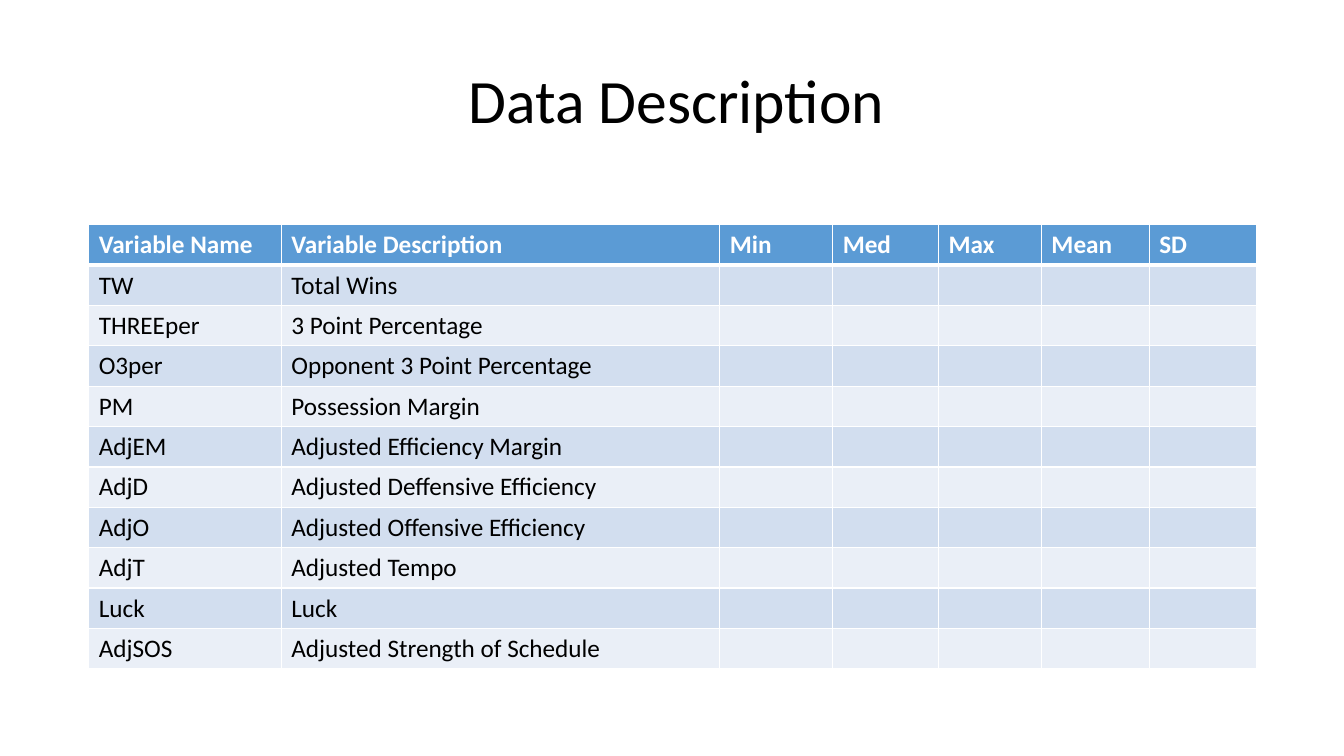
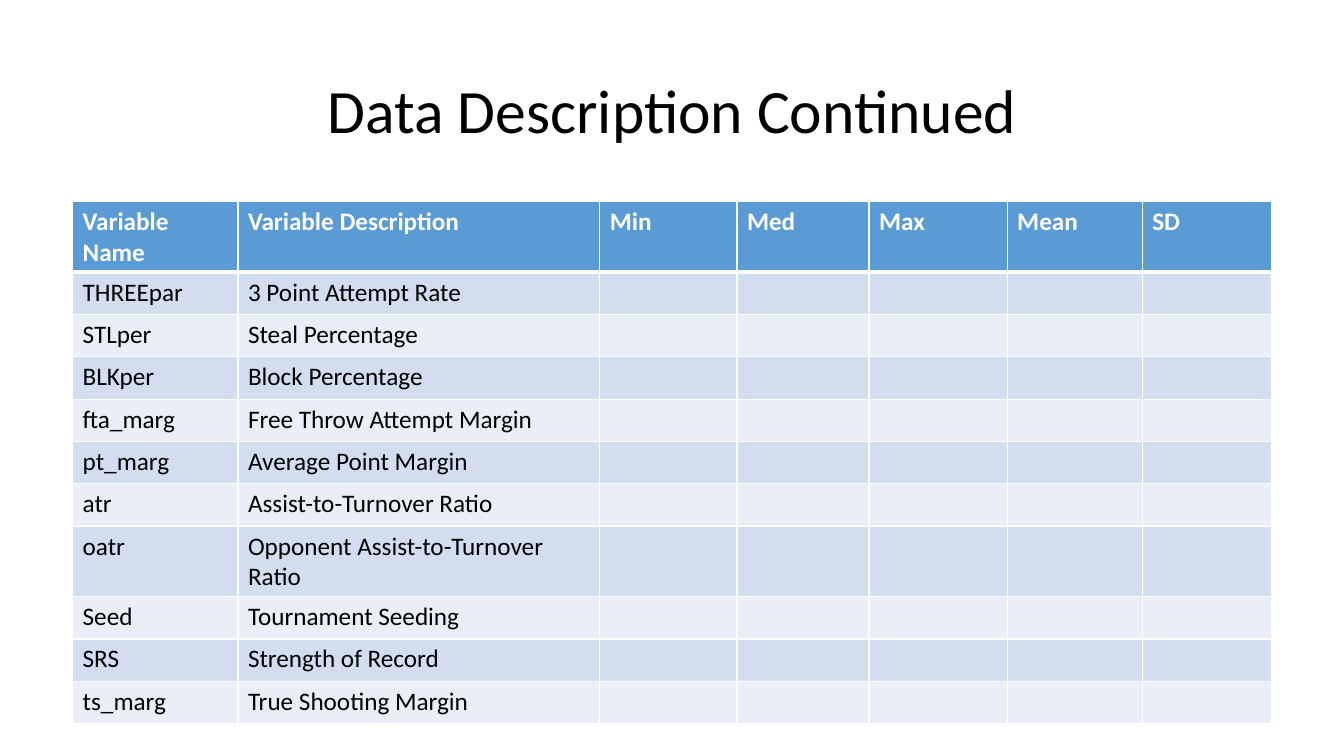
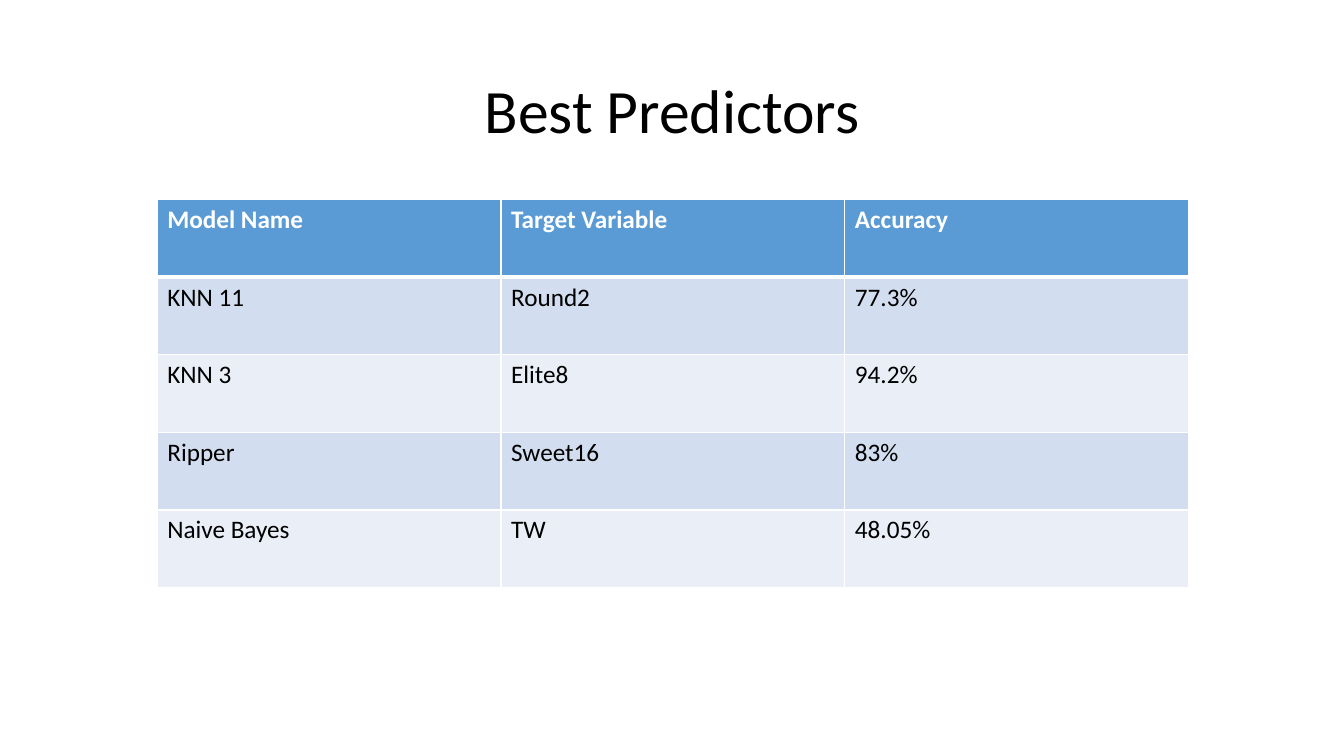
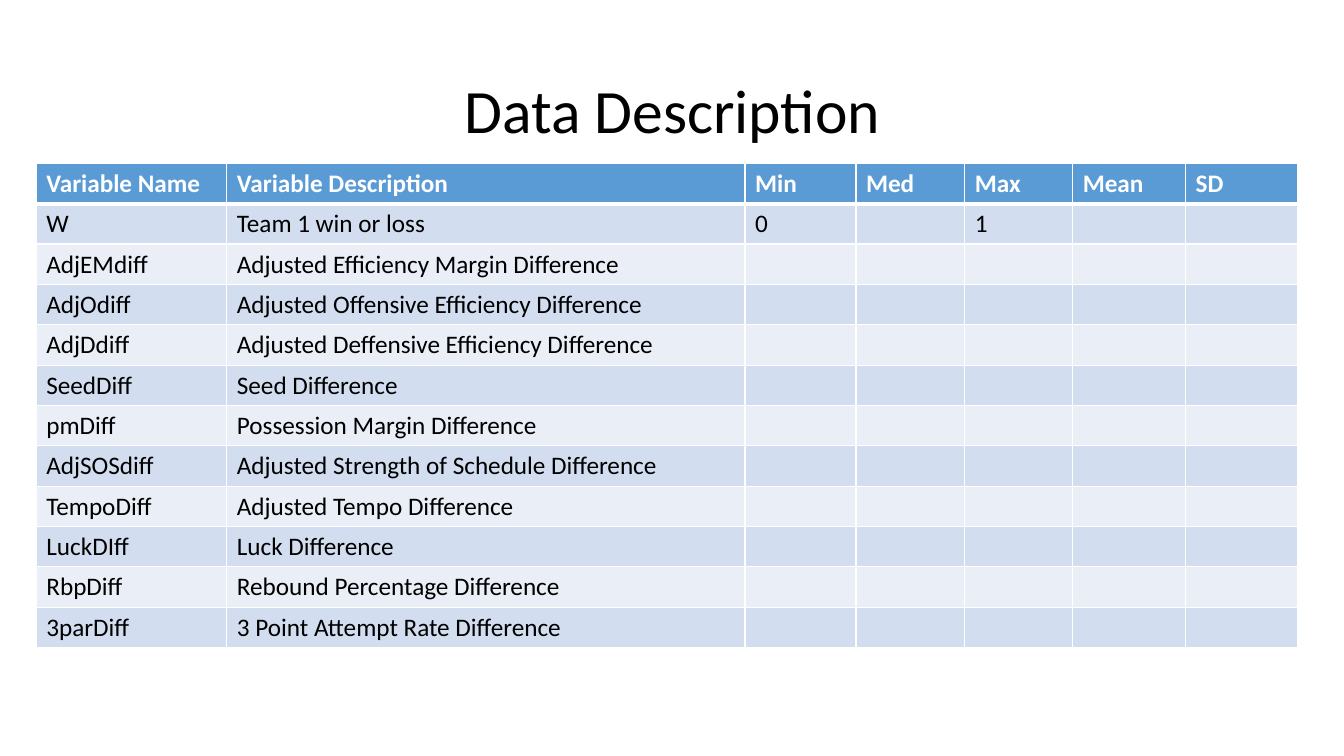
from dataclasses import dataclass

import pptx
import pptx.util
import pptx.dml.color
import pptx.enum.text
import pptx.oxml

Inches = pptx.util.Inches
Pt = pptx.util.Pt
RGB = pptx.dml.color.RGBColor.from_string


@dataclass(frozen=True)
class Theme:
    font: str = "Calibri"
    head: str = "5B9BD5"
    bands: tuple = ("D2DEEF", "EAEFF7")
    ink: str = "000000"
    pale: str = "FFFFFF"
    title: int = 44
    body: int = 18
    thin: int = 1
    thick: int = 3


THEME = Theme()
WIDE, HIGH = 13.33, 7.5
TITLE = (11.5, 1.45)
STATS = ("Variable Name", "Variable Description", "Min", "Med", "Max", "Mean", "SD")

SLIDES = [
    {
        "title": "Data Description",
        "spot": (0.96, 0.3),
        "at": (0.88, 2.23),
        "cols": (1.91, 4.35, 1.12, 1.05, 1.02, 1.07, 1.06),
        "row": 0.4,
        "head": STATS,
        "rows": [
            ("TW", "Total Wins"),
            ("THREEper", "3 Point Percentage"),
            ("O3per", "Opponent 3 Point Percentage"),
            ("PM", "Possession Margin"),
            ("AdjEM", "Adjusted Efficiency Margin"),
            ("AdjD", "Adjusted Deffensive Efficiency"),
            ("AdjO", "Adjusted Offensive Efficiency"),
            ("AdjT", "Adjusted Tempo"),
            ("Luck", "Luck"),
            ("AdjSOS", "Adjusted Strength of Schedule"),
        ],
    },
    {
        "title": "Data Description Continued",
        "spot": (0.92, 0.4),
        "at": (0.72, 2),
        "cols": (1.64, 3.59, 1.36, 1.31, 1.37, 1.34, 1.28),
        "row": 0.42,
        "head": STATS,
        "rows": [
            ("THREEpar", "3 Point Attempt Rate"),
            ("STLper", "Steal Percentage"),
            ("BLKper", "Block Percentage"),
            ("fta_marg", "Free Throw Attempt Margin"),
            ("pt_marg", "Average Point Margin"),
            ("atr", "Assist-to-Turnover Ratio"),
            ("oatr", "Opponent Assist-to-Turnover Ratio"),
            ("Seed", "Tournament Seeding"),
            ("SRS", "Strength of Record"),
            ("ts_marg", "True Shooting Margin"),
        ],
    },
    {
        "title": "Best Predictors",
        "spot": (0.92, 0.4),
        "at": (1.56, 1.98),
        "cols": (3.41,) * 3,
        "row": 0.77,
        "head": ("Model Name", "Target Variable", "Accuracy"),
        "rows": [
            ("KNN 11", "Round2", "77.3%"),
            ("KNN 3", "Elite8", "94.2%"),
            ("Ripper", "Sweet16", "83%"),
            ("Naive Bayes", "TW", "48.05%"),
        ],
    },
    {
        "title": "Data Description",
        "spot": (0.92, 0.4),
        "at": (0.36, 1.62),
        "cols": (1.89, 5.14, 1.1, 1.08, 1.07, 1.12, 1.11),
        "row": 0.4,
        "head": STATS,
        "rows": [
            ("W", "Team 1 win or loss", "0", "", "1"),
            ("AdjEMdiff", "Adjusted Efficiency Margin Difference"),
            ("AdjOdiff", "Adjusted Offensive Efficiency Difference"),
            ("AdjDdiff", "Adjusted Deffensive Efficiency Difference"),
            ("SeedDiff", "Seed Difference"),
            ("pmDiff", "Possession Margin Difference"),
            ("AdjSOSdiff", "Adjusted Strength of Schedule Difference"),
            ("TempoDiff", "Adjusted Tempo Difference"),
            ("LuckDIff", "Luck Difference"),
            ("RbpDiff", "Rebound Percentage Difference"),
            ("3parDiff", "3 Point Attempt Rate Difference"),
        ],
    },
]


def style(para, size, color, bold=False):
    for run in para.runs:
        run.font.name = THEME.font
        run.font.size = Pt(size)
        run.font.bold = bold
        run.font.color.rgb = RGB(color)


def add_title(slide, text, spot):
    box = slide.shapes.add_textbox(*map(Inches, spot + TITLE))
    frame = box.text_frame
    frame.word_wrap = True
    frame.vertical_anchor = pptx.enum.text.MSO_ANCHOR.MIDDLE
    frame.text = text
    para = frame.paragraphs[0]
    para.alignment = pptx.enum.text.PP_ALIGN.CENTER
    para.line_spacing = 0.9
    style(para, THEME.title, THEME.ink)


def add_edges(cell, row):
    props = cell._tc.get_or_add_tcPr()
    top = THEME.thick if row == 1 else THEME.thin
    base = THEME.thick if row == 0 else THEME.thin
    edges = {"L": THEME.thin, "R": THEME.thin, "T": top, "B": base}
    for spot, (side, width) in enumerate(edges.items()):
        line = pptx.oxml.parse_xml(
            f'<a:ln{side} xmlns:a="http://schemas.openxmlformats.org/drawingml/2006/main" '
            f'w="{Pt(width)}"><a:solidFill><a:srgbClr val="{THEME.pale}"/>'
            f"</a:solidFill></a:ln{side}>"
        )
        props.insert(spot, line)


def fill_cell(cell, row, text):
    head = row == 0
    cell.fill.solid()
    cell.fill.fore_color.rgb = RGB(THEME.head if head else THEME.bands[(row - 1) % 2])
    add_edges(cell, row)
    if text:
        cell.text_frame.text = text
        color = THEME.pale if head else THEME.ink
        style(cell.text_frame.paragraphs[0], THEME.body, color, head)


def add_grid(slide, data):
    rows = [data["head"]] + data["rows"]
    cols = data["cols"]
    size = (sum(cols), data["row"] * len(rows))
    frame = slide.shapes.add_table(len(rows), len(cols), *map(Inches, data["at"] + size))
    table = frame.table
    for col, width in zip(table.columns, cols):
        col.width = Inches(width)
    for r, texts in enumerate(rows):
        table.rows[r].height = Inches(data["row"])
        for c in range(len(cols)):
            fill_cell(table.cell(r, c), r, texts[c] if c < len(texts) else "")


def main():
    deck = pptx.Presentation()
    deck.slide_width, deck.slide_height = Inches(WIDE), Inches(HIGH)
    for data in SLIDES:
        slide = deck.slides.add_slide(deck.slide_layouts[6])
        add_title(slide, data["title"], data["spot"])
        add_grid(slide, data)
    deck.save("out.pptx")


if __name__ == "__main__":
    main()
